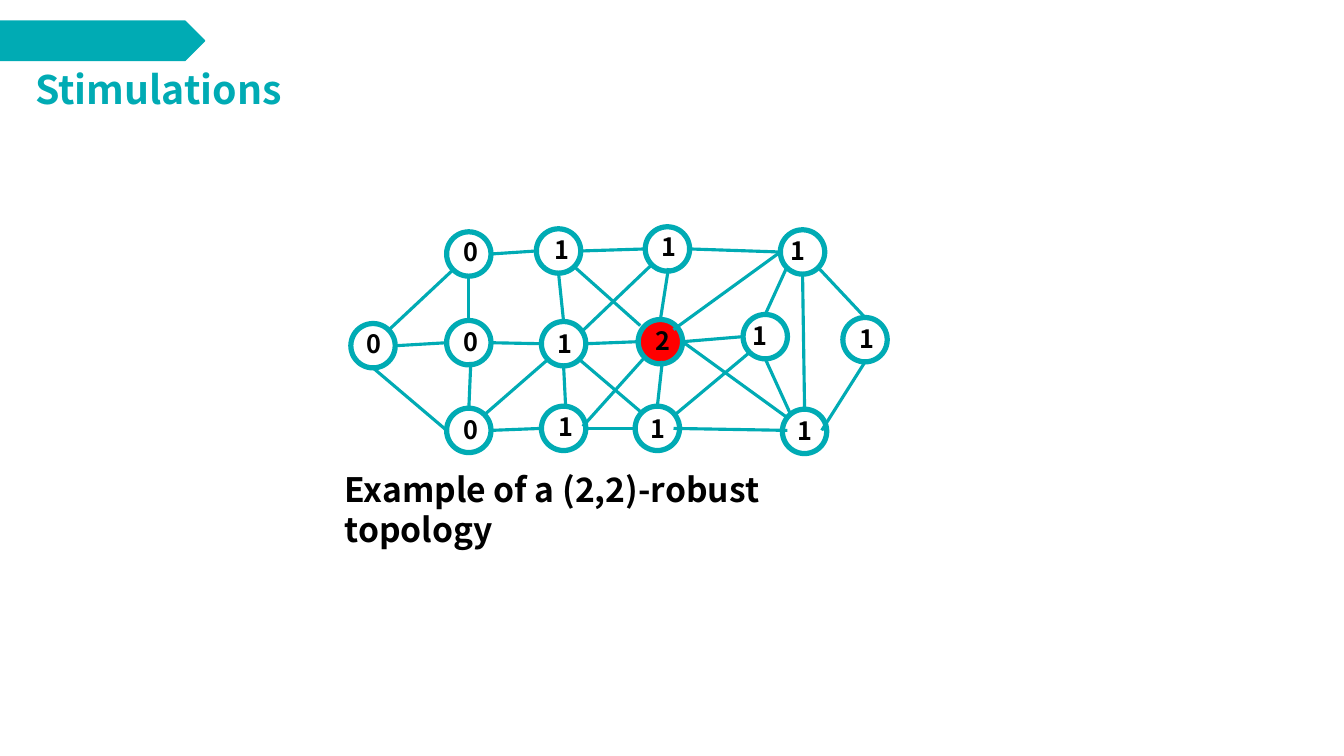
from pptx import Presentation
from pptx.dml.color import RGBColor
from pptx.enum.shapes import MSO_CONNECTOR as Connector, MSO_SHAPE as Shape
from pptx.oxml.ns import qn
from pptx.util import Pt
from lxml import etree

# Content
TITLE = ("Stimulations", (25, 60, 267, 57))
BANNER = (-31, 21, 234, 39)
CAPTION = ("Example of a (2,2)-robust topology", (332, 460, 558, 50))

# name: (left, top, value, label offset)
NODES = {
    "top0": (443, 230, "0", (7, 0)),
    "mid0": (443, 318, "0", (7, 1)),
    "low0": (443, 405, "0", (7, 1)),
    "top1": (532, 227, "1", (8, 1)),
    "mid1": (537, 319, "1", (6, 2)),
    "low1": (537, 403, "1", (7, 0)),
    "low2": (630, 403, "1", (5, 2)),
    "hub": (633, 317, "2", (7, 1)),
    "top2": (640, 225, "1", (6, 0)),
    "top3": (774, 228, "1", (0, 1)),
    "inner": (737, 312, "1", (0, 1)),
    "right": (836, 315, "1", (7, 1)),
    "low3": (776, 406, "1", (5, 1)),
    "left": (348, 321, "0", (6, 0)),
}

# Each end is a node with a compass side, or a free point
LINKS = [
    ("left NE", "top0 SW"), ("left E", "mid0 W"), ("left S", "low0 W"),
    ("top0 E", "top1 W"), ((467, 359), "low0 N"), ("mid0 E", "mid1 W"),
    ("low0 NE", "mid1 SW"), ("low0 E", "low1 W"), ("low1 E", "low2 W"),
    ((668, 425), (781, 427)), ((815, 427), "right S"), ("top3 S", "low3 N"),
    ("inner N", "top3 SW"), ("inner S", (785, 413)), ("top3 SE", "right N"),
    ("top0 S", "mid0 N"), ("top1 S", "mid1 N"), ((663, 266), "hub N"),
    ("low2 N", (657, 358)), ("hub SW", (578, 423)), ("mid1 SE", "low2 NW"),
    ("mid1 E", "hub W"), ("mid1 S", (561, 403)), ("top2 SW", (577, 329)),
    ("top1 SE", (635, 323)), ("top1 E", "top2 W"), ("hub E", (779, 413)),
    ("inner SW", (670, 411)), ("hub E", "inner W"), ("top3 W", (668, 327)),
    ("top2 E", "top3 W"),
]

THEME = {
    "font": "Noto Sans CJK SC",
    "teal": RGBColor.from_string("00ABB4"),
    "red": RGBColor.from_string("FF0000"),
    "black": RGBColor.from_string("000000"),
    "title": Pt(28), "caption": Pt(24), "label": Pt(18),
    "outline": Pt(1), "ring": Pt(3.75), "link": Pt(2.25),
}
PX = 9144  # 100 px to the inch
RADIUS, DIAGONAL = 22, 16
LABEL_SIZE = (34, 40)


def scale(values):
    return [value * PX for value in values]


def add_text(page, text, bounds, size, color, wrap=False):
    box = page.shapes.add_textbox(*scale(bounds))
    frame = box.text_frame
    frame.text = text
    frame.word_wrap = wrap
    font = frame.paragraphs[0].runs[0].font
    font.name, font.size, font.bold = THEME["font"], size, True
    font.color.rgb = color


def add_figure(page, kind, bounds, fill, width):
    figure = page.shapes.add_shape(kind, *scale(bounds))
    figure.shadow.inherit = False
    if fill is None:
        figure.fill.background()
    else:
        figure.fill.solid()
        figure.fill.fore_color.rgb = fill
    figure.line.color.rgb = THEME["teal"]
    figure.line.width = width


def locate(end):
    if isinstance(end, tuple):
        return end
    name, side = end.split()
    left, top = NODES[name][:2]
    reach = RADIUS if len(side) == 1 else DIAGONAL
    across = ("E" in side) - ("W" in side)
    down = ("S" in side) - ("N" in side)
    return left + RADIUS + across * reach, top + RADIUS + down * reach


def add_link(page, start, finish):
    link = page.shapes.add_connector(
        Connector.STRAIGHT, *scale(locate(start) + locate(finish)))
    link.line.color.rgb = THEME["teal"]
    link.line.width = THEME["link"]
    etree.SubElement(link._element.spPr, qn("a:effectLst"))


def main():
    deck = Presentation()
    deck.slide_width, deck.slide_height = scale((1333, 750))
    page = deck.slides.add_slide(deck.slide_layouts[6])

    # Heading
    add_text(page, *TITLE, THEME["title"], THEME["teal"])
    add_figure(page, Shape.PENTAGON, BANNER, THEME["teal"], THEME["outline"])

    # Nodes with their values
    for name, (left, top, value, (right, down)) in NODES.items():
        fill = THEME["red"] if name == "hub" else None
        add_figure(page, Shape.OVAL, (left, top, 2 * RADIUS, 2 * RADIUS),
                   fill, THEME["ring"])
        add_text(page, value, (left + right, top + down, *LABEL_SIZE),
                 THEME["label"], THEME["black"])

    # Links
    for start, finish in LINKS:
        add_link(page, start, finish)

    # Caption
    add_text(page, *CAPTION, THEME["caption"], THEME["black"], wrap=True)
    deck.save("out.pptx")


if __name__ == "__main__":
    main()
